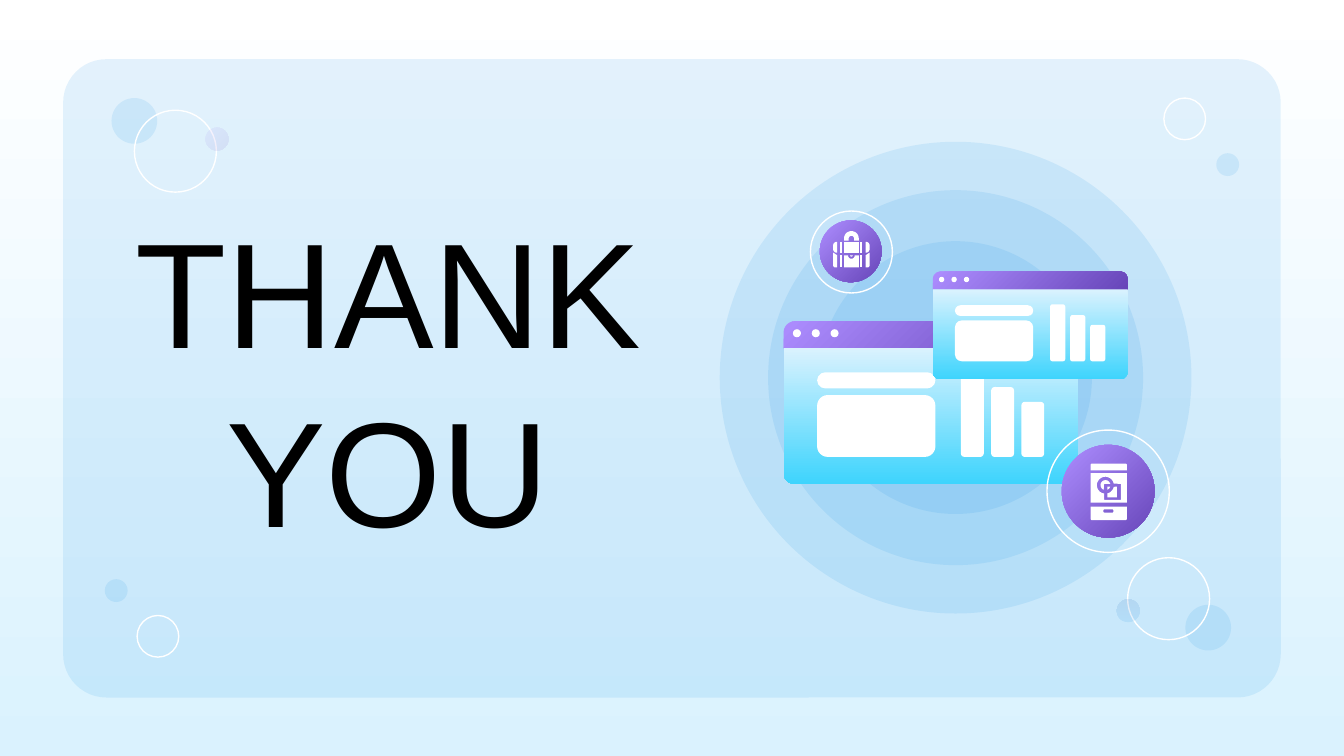
import math
from dataclasses import dataclass

import lxml.etree
import pptx
import pptx.dml.color
import pptx.enum.shapes
import pptx.enum.text
import pptx.oxml.ns
import pptx.util

Inches = pptx.util.Inches
Pt = pptx.util.Pt
MSO_SHAPE = pptx.enum.shapes.MSO_SHAPE
Point = tuple[float, float]

WHITE = "FFFFFF"
BLUE = "0388E5"


@dataclass(frozen=True)
class Gradient:
    """Two colours and a clockwise angle in degrees."""
    start: str
    end: str
    angle: int


@dataclass(frozen=True)
class Circle:
    left: float
    top: float
    diameter: float
    fill: str | Gradient | None = None
    opacity: int = 100


@dataclass(frozen=True)
class Window:
    left: float
    top: float
    scale: float


PURPLE = Gradient("AD8DFF", "6746B9", 45)
SKY = Gradient("DAF2FE", "3ED4FD", 90)
PAGE = Gradient(WHITE, "DAF2FE", 90)
DEEP_BLUE = Gradient(BLUE, "0048A7", 270)


def rgb(color: str) -> pptx.dml.color.RGBColor:
    return pptx.dml.color.RGBColor.from_string(color)


def paint(fill, color: str | Gradient) -> None:
    if isinstance(color, Gradient):
        fill.gradient()
        fill.gradient_angle = 360 - color.angle
        for stop, stop_color in zip(fill.gradient_stops, (color.start, color.end)):
            stop.color.rgb = rgb(stop_color)
    else:
        fill.solid()
        fill.fore_color.rgb = rgb(color)


def finish(shape, fill: str | Gradient | None, opacity: int = 100) -> None:
    """Fill a shape without outline, or give an unfilled one a thin white outline."""
    shape.shadow.inherit = False
    if fill is None:
        shape.fill.background()
        shape.line.color.rgb = rgb(WHITE)
        shape.line.width = Pt(0.75)
        return
    paint(shape.fill, fill)
    shape.line.fill.background()
    if opacity < 100:
        for color in shape._element.spPr.iter(pptx.oxml.ns.qn("a:srgbClr")):
            alpha = lxml.etree.SubElement(color, pptx.oxml.ns.qn("a:alpha"))
            alpha.set("val", str(opacity * 1000))


def draw_preset(shapes, kind, left: float, top: float, width: float, height: float,
                fill: str | Gradient | None = WHITE, opacity: int = 100,
                adjustments: tuple[float, ...] = ()) -> None:
    shape = shapes.add_shape(kind, Inches(left), Inches(top), Inches(width), Inches(height))
    for index, value in enumerate(adjustments):
        shape.adjustments[index] = value
    finish(shape, fill, opacity)


def draw_circle(shapes, circle: Circle) -> None:
    draw_preset(shapes, MSO_SHAPE.OVAL, circle.left, circle.top, circle.diameter,
                circle.diameter, circle.fill, circle.opacity)


def arc(x: float, y: float, radius: float, start: int, end: int) -> list[Point]:
    """Points along an arc, with angles in degrees clockwise from the right."""
    steps = 16
    angles = [math.radians(start + (end - start) * i / steps) for i in range(steps + 1)]
    return [(x + radius * math.cos(a), y + radius * math.sin(a)) for a in angles]


def rounded(left: float, top: float, width: float, height: float,
            radii: tuple[float, float, float, float] = (0, 0, 0, 0)) -> list[Point]:
    """Rectangle outline with radii from top left, clockwise."""
    points = []
    for turn, radius in enumerate(radii):
        x = left + width - radius if turn in (1, 2) else left + radius
        y = top + height - radius if turn in (2, 3) else top + radius
        points += arc(x, y, radius, 180 + 90 * turn, 270 + 90 * turn) if radius else [(x, y)]
    return points


def draw_outline(shapes, *contours: list[Point]) -> None:
    """White outline; contours after the first cut holes."""
    scaled = [[(x * 1000, y * 1000) for x, y in contour] for contour in contours]
    builder = shapes.build_freeform(*scaled[0][0], scale=Inches(1) / 1000)
    builder.add_line_segments(scaled[0][1:], close=True)
    for hole in scaled[1:]:
        builder.move_to(*hole[0])
        builder.add_line_segments(hole[1:], close=True)
    finish(builder.convert_to_shape(), WHITE)


def draw_window(shapes, window: Window) -> None:
    def part(kind, left, top, width, height, fill=WHITE, adjustments=()):
        size = window.scale
        draw_preset(shapes, kind, window.left + left * size, window.top + top * size,
                    width * size, height * size, fill, adjustments=adjustments)

    part(MSO_SHAPE.ROUND_2_SAME_RECTANGLE, 0, 0, 2.19, 0.2, PURPLE, (0.42, 0))
    part(MSO_SHAPE.ROUND_2_SAME_RECTANGLE, 0, 0.2, 2.19, 1.01, SKY, (0, 0.08))
    for button in range(3):
        part(MSO_SHAPE.OVAL, 0.07 + 0.14 * button, 0.06, 0.06, 0.06)
    for bar, height in enumerate((0.64, 0.52, 0.41)):
        part(MSO_SHAPE.ROUNDED_RECTANGLE, 1.32 + 0.225 * bar, 1.01 - height, 0.17, height,
             adjustments=(0.15,))
    part(MSO_SHAPE.ROUNDED_RECTANGLE, 0.25, 0.38, 0.88, 0.12, adjustments=(0.5,))
    part(MSO_SHAPE.ROUNDED_RECTANGLE, 0.25, 0.55, 0.88, 0.46, adjustments=(0.17,))


def draw_briefcase(shapes) -> None:
    x = 6.335
    draw_circle(shapes, Circle(6.03, 1.57, 0.61))
    draw_circle(shapes, Circle(6.1, 1.64, 0.46, PURPLE))
    for strap in (6.25, 6.4):
        draw_outline(shapes, rounded(strap, 1.8, 0.016, 0.08))
        draw_outline(shapes, rounded(strap, 1.9, 0.016, 0.09))
    draw_outline(shapes, rounded(6.2, 1.8, 0.03, 0.08, (0.025, 0, 0, 0.025)))
    draw_outline(shapes, rounded(6.44, 1.8, 0.03, 0.08, (0, 0.025, 0.025, 0)))
    draw_outline(shapes, [(6.2, 1.88), (6.23, 1.9), (6.23, 1.99), (6.21, 1.99), (6.2, 1.98)])
    draw_outline(shapes, [(6.47, 1.88), (6.44, 1.9), (6.44, 1.99), (6.46, 1.99), (6.47, 1.98)])
    draw_outline(shapes, rounded(6.28, 1.8, 0.11, 0.08))
    draw_outline(shapes, [(6.28, 1.9), (6.28, 1.99), (6.39, 1.99), (6.39, 1.9)]
                 + arc(x, 1.9, 0.025, 0, 180))
    draw_outline(shapes, arc(x, 1.9, 0.01, 0, 180))
    draw_outline(shapes, [(6.28, 1.79)] + arc(x, 1.775, 0.055, 180, 360) + [(6.39, 1.79)]
                 + [(6.355, 1.79)] + arc(x, 1.775, 0.02, 360, 180) + [(6.315, 1.79)])


def draw_phone(shapes) -> None:
    x, y = 8.225, 3.61
    draw_circle(shapes, Circle(7.79, 3.2, 0.91))
    draw_circle(shapes, Circle(7.9, 3.31, 0.69, PURPLE))
    draw_outline(shapes, rounded(8.115, 3.45, 0.27, 0.05, (0.01, 0.01, 0, 0)))
    draw_outline(shapes, rounded(8.115, 3.52, 0.27, 0.22),
                 [(8.34, 3.6), (8.34, 3.72), (8.215, 3.72)] + arc(x, y, 0.063, 98, 350))
    draw_outline(shapes, arc(x, y, 0.037, 110, 345) + [(8.215, 3.6)])
    draw_outline(shapes, [(8.24, 3.62)] + arc(x, y, 0.037, 18, 66))
    draw_outline(shapes, [(8.24, 3.7), (8.31, 3.7), (8.31, 3.62)] + arc(x, y, 0.063, 12, 76))
    draw_outline(shapes, rounded(8.115, 3.77, 0.27, 0.1, (0, 0, 0.01, 0.01)),
                 rounded(8.21, 3.79, 0.075, 0.025, (0.01,) * 4))


def write_title(shapes) -> None:
    title = shapes.title
    box = dict(left=0.83, top=1.43, width=4.12, height=2.79)
    for name, value in box.items():
        setattr(title, name, Inches(value))
    frame = title.text_frame
    frame.text = "THANK YOU"
    paragraph = frame.paragraphs[0]
    formats = (
        (frame, dict(word_wrap=True, auto_size=pptx.enum.text.MSO_AUTO_SIZE.NONE,
                     vertical_anchor=pptx.enum.text.MSO_ANCHOR.TOP)),
        (paragraph, dict(alignment=pptx.enum.text.PP_ALIGN.CENTER, line_spacing=Pt(96))),
        (paragraph.runs[0].font, dict(name="Arial", size=Pt(80))),
    )
    for target, values in formats:
        for name, value in values.items():
            setattr(target, name, value)
    paragraph.runs[0].font.color.rgb = rgb("000000")
    shapes._spTree.append(title._element)  # bring to front


BUBBLES = (
    Circle(1.02, 4.58, 0.31), Circle(0.83, 0.73, 0.34, BLUE, 10), Circle(1, 0.82, 0.61),
    Circle(1.53, 0.95, 0.17, PURPLE, 10), Circle(0.78, 4.31, 0.17, BLUE, 10),
    Circle(8.82, 4.5, 0.34, BLUE, 10), Circle(8.39, 4.15, 0.61),
    Circle(8.31, 4.46, 0.17, DEEP_BLUE, 10), Circle(8.66, 0.73, 0.31),
    Circle(9.05, 1.14, 0.17, BLUE, 10),
)
HALOS = tuple(Circle(7.11 - size / 2, 2.81 - size / 2, size, BLUE, 10)
              for size in (3.51, 2.79, 2.03))
WINDOWS = (Window(5.83, 2.39, 1), Window(6.94, 2.02, 1.45 / 2.19))


def main() -> None:
    presentation = pptx.Presentation()
    presentation.slide_width = Inches(10)
    presentation.slide_height = Inches(10 * 9 / 16)
    slide = presentation.slides.add_slide(presentation.slide_layouts[5])
    shapes = slide.shapes
    paint(slide.background.fill, PAGE)
    draw_preset(shapes, MSO_SHAPE.ROUNDED_RECTANGLE, 0.47, 0.44, 9.06, 4.75, BLUE, 10, (0.068,))
    for circle in BUBBLES + HALOS:
        draw_circle(shapes, circle)
    for window in WINDOWS:
        draw_window(shapes, window)
    draw_briefcase(shapes)
    draw_phone(shapes)
    write_title(shapes)
    presentation.save("out.pptx")


if __name__ == "__main__":
    main()
